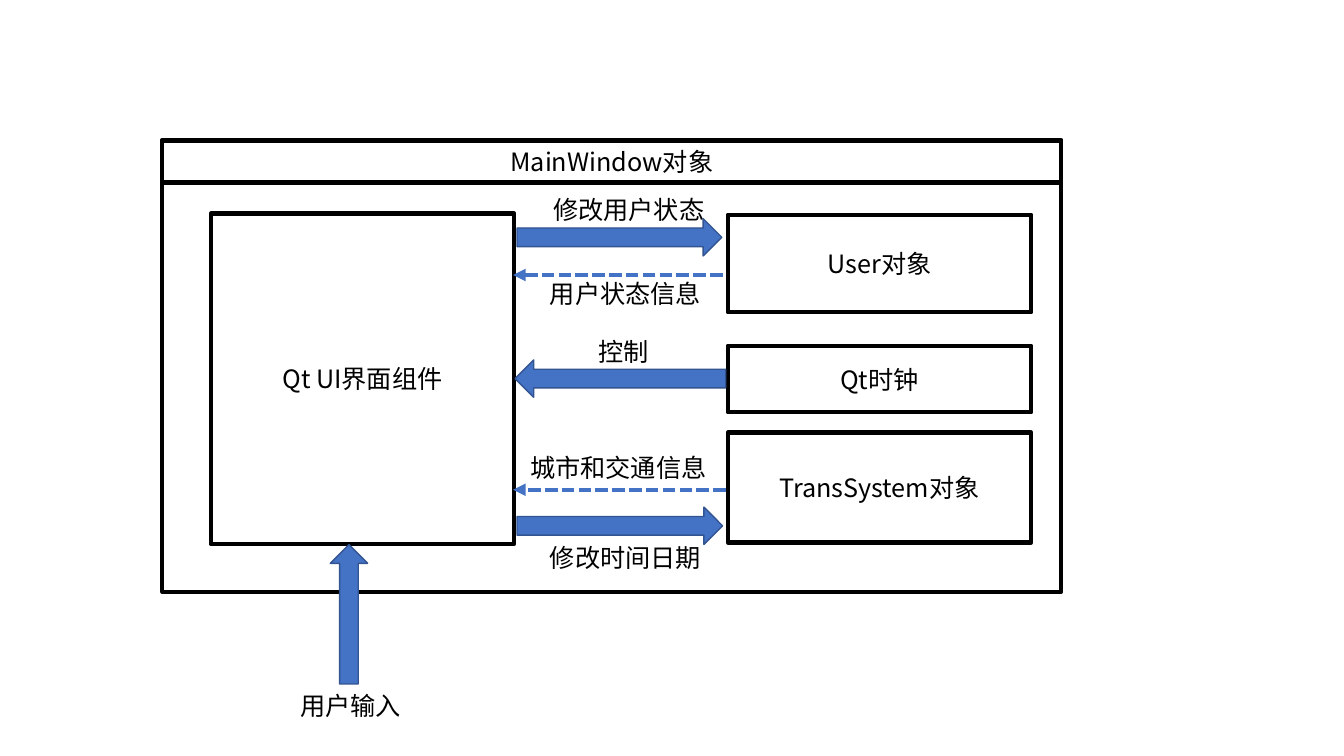
from lxml.etree import SubElement
from pptx import Presentation
from pptx.dml.color import RGBColor
from pptx.enum.dml import MSO_LINE
from pptx.enum.shapes import MSO_CONNECTOR, MSO_SHAPE
from pptx.enum.text import MSO_ANCHOR, MSO_AUTO_SIZE, PP_ALIGN
from pptx.oxml.ns import qn
from pptx.util import Cm, Pt

FONT = "Noto Sans CJK SC"
BLACK, BLUE, DARK_BLUE = "000000", "4472C4", "325491"
ARROW_HEIGHT = 0.94
LABEL_HEIGHT = 1.02
UI_EDGE = 12.93
OBJECT_LEFT, OBJECT_WIDTH = 18.34, 7.65

BOXES = [
    ("", 4.09, 3.53, 22.66, 11.38),
    ("MainWindow对象", 4.09, 3.56, 22.66, 1.04),
    ("Qt UI界面组件", 5.31, 5.38, OBJECT_WIDTH, 8.33),
    ("User对象", OBJECT_LEFT, 5.41, OBJECT_WIDTH, 2.46),
    ("TransSystem对象", OBJECT_LEFT, 10.9, OBJECT_WIDTH, 2.77),
    ("Qt时钟", OBJECT_LEFT, 8.71, OBJECT_WIDTH, 1.68),
]
# left, top, length, rotation
BLOCK_ARROWS = [
    (12.98, 9.07, 5.31, 180),
    (7.04, 15.01, 3.51, 270),
    (13.03, 12.78, 5.18, 0),
    (13.03, 5.51, 5.16, 0),
]
# start, height on the slide
REPLY_ARROWS = [(18.21, 6.93), (18.29, 12.34)]
LABELS = [
    ("用户输入", 7.32, 17.27, 3.07),
    ("修改用户状态", 13.69, 4.78, 4.37),
    ("修改时间日期", 13.61, 13.54, 4.37),
    ("控制", 14.83, 8.36, 1.8),
    ("用户状态信息", 13.61, 6.88, 4.37),
    ("城市和交通信息", 13.11, 11.28, 5.03),
]


def color(hex_value):
    return RGBColor.from_string(hex_value)


def apply(target, formats):
    for attribute, value in formats.items():
        setattr(target, attribute, value)


def draw_line(line, hex_value, width):
    line.color.rgb = color(hex_value)
    line.width = Pt(width)


def write(frame, wording, alignment, formats):
    apply(frame, formats)
    paragraph = frame.paragraphs[0]
    paragraph.alignment = alignment
    run = paragraph.add_run()
    run.text = wording
    apply(run.font, {"name": FONT, "size": Pt(18)})
    run.font.color.rgb = color(BLACK)
    east_asian = SubElement(run.font._element, qn("a:ea"))
    east_asian.set("typeface", FONT)


def add_box(slide, wording, *place):
    box = slide.shapes.add_shape(MSO_SHAPE.RECTANGLE, *map(Cm, place))
    box.shadow.inherit = False
    box.fill.background()
    draw_line(box.line, BLACK, 3)
    if wording:
        write(box.text_frame, wording, PP_ALIGN.CENTER,
              {"vertical_anchor": MSO_ANCHOR.MIDDLE, "word_wrap": True})


def add_block_arrow(slide, left, top, length, rotation):
    arrow = slide.shapes.add_shape(
        MSO_SHAPE.RIGHT_ARROW, Cm(left), Cm(top), Cm(length), Cm(ARROW_HEIGHT))
    arrow.rotation = rotation
    arrow.shadow.inherit = False
    arrow.fill.solid()
    arrow.fill.fore_color.rgb = color(BLUE)
    draw_line(arrow.line, DARK_BLUE, 1)


def add_reply_arrow(slide, start, y):
    """Dashed arrow running left to the edge of the UI box."""
    reply = slide.shapes.add_connector(
        MSO_CONNECTOR.STRAIGHT, Cm(start), Cm(y), Cm(UI_EDGE), Cm(y))
    draw_line(reply.line, BLUE, 3)
    reply.line.dash_style = MSO_LINE.SQUARE_DOT
    SubElement(reply.line._get_or_add_ln(), qn("a:tailEnd")).set("type", "triangle")
    SubElement(reply._element.spPr, qn("a:effectLst"))


def add_label(slide, wording, left, top, width):
    label = slide.shapes.add_textbox(Cm(left), Cm(top), Cm(width), Cm(LABEL_HEIGHT))
    write(label.text_frame, wording, PP_ALIGN.LEFT,
          {"word_wrap": False, "auto_size": MSO_AUTO_SIZE.SHAPE_TO_FIT_TEXT})


def main():
    deck = Presentation()
    apply(deck, {"slide_width": Cm(33.87), "slide_height": Cm(19.05)})
    slide = deck.slides.add_slide(deck.slide_layouts[6])
    for add, rows in (
        (add_box, BOXES),
        (add_block_arrow, BLOCK_ARROWS),
        (add_reply_arrow, REPLY_ARROWS),
        (add_label, LABELS),
    ):
        for row in rows:
            add(slide, *row)
    deck.save("out.pptx")


if __name__ == "__main__":
    main()
